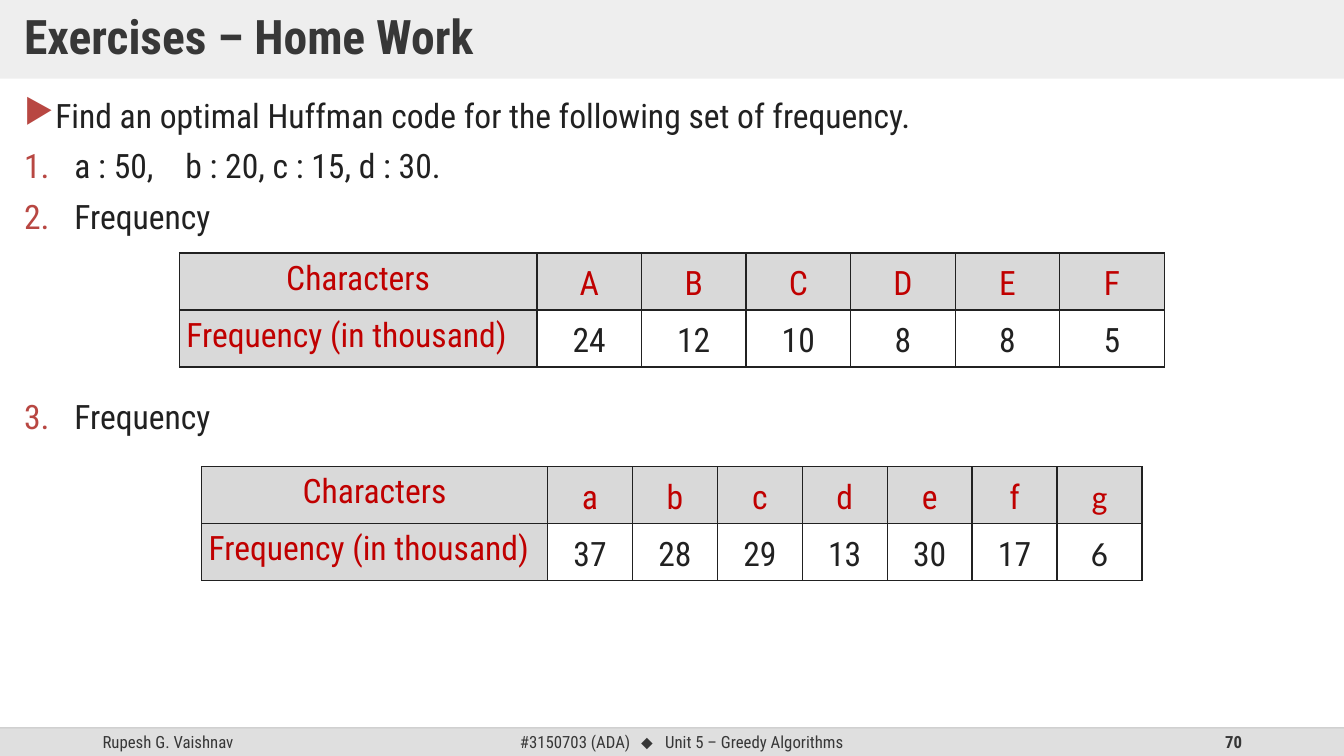
from lxml.etree import SubElement
from pptx import Presentation
from pptx.dml.color import RGBColor
from pptx.enum.shapes import MSO_CONNECTOR, MSO_SHAPE
from pptx.enum.text import MSO_ANCHOR, PP_ALIGN
from pptx.oxml.ns import qn
from pptx.util import Inches, Pt

DARK = RGBColor(0x37, 0x37, 0x37)
INK = RGBColor(0x21, 0x21, 0x21)
ACCENT = RGBColor(0xB8, 0x47, 0x42)
RED = RGBColor(0xC0, 0x00, 0x00)
CELL_GRAY = RGBColor(0xD9, 0xD9, 0xD9)
BAR_GRAY = RGBColor(0xDF, 0xDF, 0xDF)
RULE_GRAY = RGBColor(0xBF, 0xBF, 0xBF)
FONT = "Roboto Condensed"


def add(parent, tag, **attrs):
    return SubElement(parent, qn(tag), attrs)


class Deck:
    """Draws styled elements on one slide, with places in percent of its size."""

    def __init__(self):
        self.prs = Presentation()
        self.prs.slide_width, self.prs.slide_height = Inches(13.33), Inches(7.5)
        self.s = self.prs.slides.add_slide(self.prs.slide_layouts[6])

    def x(self, share):
        return round(self.prs.slide_width * share / 100)

    def y(self, share):
        return round(self.prs.slide_height * share / 100)

    def box(self, left, top, width, height):
        return self.x(left), self.y(top), self.x(width), self.y(height)

    def style(self, p, size, color, bold=False, align=PP_ALIGN.LEFT, spacing=None):
        p.alignment = align
        p.line_spacing = spacing
        p.font.size, p.font.bold = Pt(size), bold
        p.font.color.rgb = color
        p.font.name = FONT

    def bar(self, place, color, alpha=100):
        sp = self.s.shapes.add_shape(MSO_SHAPE.RECTANGLE, *self.box(*place))
        sp.shadow.inherit = False
        sp.fill.solid()
        sp.fill.fore_color.rgb = color
        sp.line.fill.background()
        if alpha < 100:
            clr = sp.fill._xPr.find(f".//{qn('a:srgbClr')}")
            add(clr, "a:alpha", val=str(alpha * 1000))
        return sp

    def title(self, place, text):
        tf = self.bar(place, BAR_GRAY, 50).text_frame
        tf.word_wrap = True
        tf.vertical_anchor = MSO_ANCHOR.MIDDLE
        tf.margin_left = tf.margin_right = Inches(0.24)
        tf.margin_top = tf.margin_bottom = Inches(0.12)
        tf.text = text
        self.style(tf.paragraphs[0], 34, DARK, bold=True, spacing=0.9)

    def text(self, place, anchor=MSO_ANCHOR.MIDDLE):
        tf = self.s.shapes.add_textbox(*self.box(*place)).text_frame
        tf.word_wrap = True
        tf.vertical_anchor = anchor
        return tf

    def tabs(self, p, stops):
        tab_list = add(p._p.get_or_add_pPr(), "a:tabLst")
        for pos, align in stops:
            add(tab_list, "a:tab", pos=str(Inches(pos)), algn=align)

    def footer(self, place, parts, align=PP_ALIGN.LEFT, bold=False, stops=()):
        p = self.text(place).paragraphs[0]
        if stops:
            self.tabs(p, stops)
        for part, font in parts:
            r = p.add_run()
            r.text = part
            if font != FONT:
                r.font.name = font
        self.style(p, 12, DARK, bold, align)

    def rule(self, y, color):
        ln = self.s.shapes.add_connector(
            MSO_CONNECTOR.STRAIGHT, 0, self.y(y), self.x(100), self.y(y))
        ln.line.color.rgb = color
        ln.line.width = Pt(1)
        add(ln.line._ln.find(f".//{qn('a:srgbClr')}"), "a:alpha", val="70000")
        add(ln._element.spPr, "a:effectLst")

    def exercises(self, place, items):
        tf = self.text(place, MSO_ANCHOR.TOP)
        for i, (text, numbered, before, stops) in enumerate(items):
            p = tf.add_paragraph() if i else tf.paragraphs[0]
            p.text = text
            indent = Inches(0.5 if numbered else 0.29)
            pPr = p._p.get_or_add_pPr()
            pPr.set("marL", str(indent))
            pPr.set("indent", str(-indent))
            add(add(pPr, "a:buClr"), "a:srgbClr", val=str(ACCENT))
            if numbered:
                add(pPr, "a:buFont", typeface="+mj-lt")
                add(pPr, "a:buAutoNum", type="arabicPeriod")
            else:
                add(pPr, "a:buChar", char="▶")
            if stops:
                self.tabs(p, stops)
            self.style(p, 24, INK, align=PP_ALIGN.JUSTIFY, spacing=0.9)
            p.space_before = Pt(before)

    def cell(self, cell, text, row, col):
        head = row == 0 or col == 0
        cell.margin_left = cell.margin_right = Inches(0.07)
        cell.margin_top = cell.margin_bottom = 0
        cell.vertical_anchor = MSO_ANCHOR.MIDDLE if col else MSO_ANCHOR.TOP
        cell.text = text
        align = PP_ALIGN.LEFT if row and not col else PP_ALIGN.CENTER
        self.style(cell.text_frame.paragraphs[0], 24, RED if head else INK,
                   align=align, spacing=1.15)
        for side in "LRTB":
            ln = add(cell._tc.get_or_add_tcPr(), f"a:ln{side}", w=str(Pt(1)))
            add(add(ln, "a:solidFill"), "a:srgbClr", val=str(INK))
        if head:
            cell.fill.solid()
            cell.fill.fore_color.rgb = CELL_GRAY
        else:
            cell.fill.background()

    def frequencies(self, left, top, label_width, col_width, counts):
        rows = [["Characters", *counts],
                ["Frequency (in thousand)", *map(str, counts.values())]]
        width = label_width + col_width * len(counts)
        table = self.s.shapes.add_table(
            2, len(rows[0]), *self.box(left, top, width, 15.08)).table
        table.first_row = table.horz_banding = False
        for c, column in enumerate(table.columns):
            column.width = self.x(col_width if c else label_width)
        for r, row in enumerate(rows):
            for c, text in enumerate(row):
                self.cell(table.cell(r, c), text, r, c)
        return table


def main():
    deck = Deck()
    foot_top, foot_height = 96.27, 3.73
    deck.bar((0, foot_top, 100, foot_height), BAR_GRAY)
    deck.footer((6.9, foot_top, 22.5, foot_height), [("Rupesh G. Vaishnav", FONT)])
    deck.footer((37.95, foot_top, 28, foot_height),
                [("#3150703 (ADA)\t", FONT), ("⬥", "Arial"),
                 ("\tUnit 5 – Greedy Algorithms", FONT)],
                stops=[(1.26, "ctr"), (1.44, "l")])
    deck.footer((70.65, foot_top, 22.5, foot_height), [("70", FONT)],
                PP_ALIGN.RIGHT, bold=True)
    deck.rule(foot_top, RULE_GRAY)

    deck.title((0, 0, 100, 10.4), "Exercises – Home Work")
    deck.exercises((1.05, 12.53, 97.9, 81.47), [
        ("Find an optimal Huffman code for the following set of frequency.",
         False, 0, ()),
        ("a : 50,\tb : 20, c : 15, d : 30.", True, 10, [(1.6, "l")]),
        ("Frequency", True, 10, ()),
        ("Frequency", True, 117, ()),
    ])
    deck.frequencies(13.35, 33.47, 26.6, 7.78,
                     {"A": 24, "B": 12, "C": 10, "D": 8, "E": 8, "F": 5})
    lower = deck.frequencies(15, 61.73, 25.74, 6.32,
                             {"a": 37, "b": 28, "c": 29, "d": 13,
                              "e": 30, "f": 17, "g": 6})
    for r in range(2):
        lower.cell(r, 7).text_frame.paragraphs[0].font.name = "Calibri"
    deck.prs.save("out.pptx")


if __name__ == "__main__":
    main()
